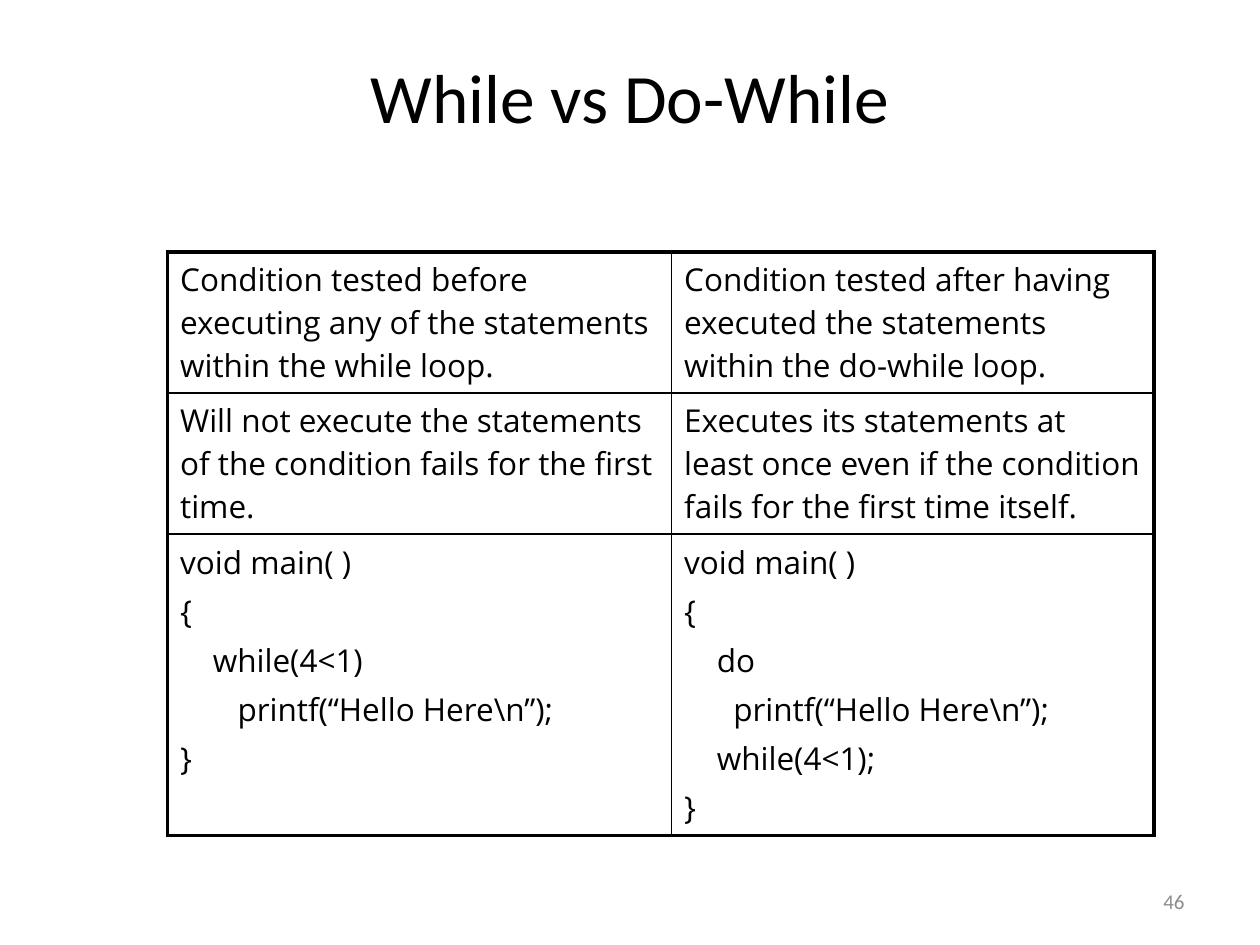
from lxml import etree
from pptx import Presentation
from pptx.dml.color import RGBColor
from pptx.enum.text import MSO_ANCHOR, PP_ALIGN
from pptx.oxml.ns import qn
from pptx.util import Inches, Pt

MIDDLE = MSO_ANCHOR.MIDDLE
LEFT, CENTER, RIGHT = PP_ALIGN.LEFT, PP_ALIGN.CENTER, PP_ALIGN.RIGHT
BLACK, GRAY = "000000", "8C8C8C"
THICK, THIN = 2.25, 1

LABELS = [
    ("While vs Do-While", (0.5, 0.47, 9, 0.58), 39.6, BLACK, CENTER),
    ("46", (7.17, 6.95, 2.33, 0.4), 12, GRAY, RIGHT),
]
COLS = [4, 3.83]
ROWS = [1.12, 1.12, 2.39]
SPACE_INDENT = 0.065
CELLS = [
    [
        [(0, "Condition tested before executing any of the statements within the while loop.")],
        [(0, "Condition tested after having executed the statements within the do-while loop.")],
    ],
    [
        [(0, "Will not execute the statements of the condition fails for the first time.")],
        [(0, "Executes its statements at least once even if the condition fails for the first time itself.")],
    ],
    [
        [(0, "void main( )"), (0, "{"), (4, "while(4<1)"),
         (7, r"printf(“Hello Here\n”);"), (0, "}")],
        [(0, "void main( )"), (0, "{"), (4, "do"),
         (6, r"printf(“Hello Here\n”);"), (4, "while(4<1);"), (0, "}")],
    ],
]


def rgb(color):
    return RGBColor.from_string(color)


def add_run(p, text, size, font, color, align):
    p.alignment = align
    r = p.add_run()
    r.text = text
    r.font.size = Pt(size)
    r.font.name = font
    r.font.color.rgb = rgb(color)


def add_label(s, text, box, size, color, align):
    tf = s.shapes.add_textbox(*map(Inches, box)).text_frame
    tf.word_wrap = True
    tf.vertical_anchor = MIDDLE
    add_run(tf.paragraphs[0], text, size, "Calibri", color, align)


def set_borders(cell, widths):
    tc_pr = cell._tc.get_or_add_tcPr()
    for i, (side, width) in enumerate(widths.items()):
        ln = etree.Element(qn("a:" + side), w=str(Pt(width)))
        fill = etree.SubElement(ln, qn("a:solidFill"))
        etree.SubElement(fill, qn("a:srgbClr"), val=BLACK)
        tc_pr.insert(i, ln)


def fill_cell(cell, lines):
    cell.fill.background()
    tf = cell.text_frame
    for i, (spaces, text) in enumerate(lines):
        p = tf.paragraphs[0] if i == 0 else tf.add_paragraph()
        p.space_before = Pt(3.6)
        if spaces:
            p._p.get_or_add_pPr().set("marL", str(Inches(spaces * SPACE_INDENT)))
        add_run(p, text, 18, "Open Sans", BLACK, LEFT)


def add_comparison(s):
    table = s.shapes.add_table(
        len(ROWS), len(COLS), Inches(1.33), Inches(2),
        Inches(sum(COLS)), Inches(sum(ROWS))).table
    table.first_row = table.horz_banding = False
    for col, width in zip(table.columns, COLS):
        col.width = Inches(width)
    for row, height in zip(table.rows, ROWS):
        row.height = Inches(height)
    for i, row in enumerate(CELLS):
        for j, lines in enumerate(row):
            cell = table.cell(i, j)
            fill_cell(cell, lines)
            outer = {"lnL": j == 0, "lnR": j == len(COLS) - 1,
                     "lnT": i == 0, "lnB": i == len(ROWS) - 1}
            set_borders(cell, {k: THICK if v else THIN for k, v in outer.items()})


def main():
    prs = Presentation()
    prs.slide_width, prs.slide_height = Inches(10), Inches(7.5)
    s = prs.slides.add_slide(prs.slide_layouts[6])
    for label in LABELS:
        add_label(s, *label)
    add_comparison(s)
    prs.save("out.pptx")


if __name__ == "__main__":
    main()
